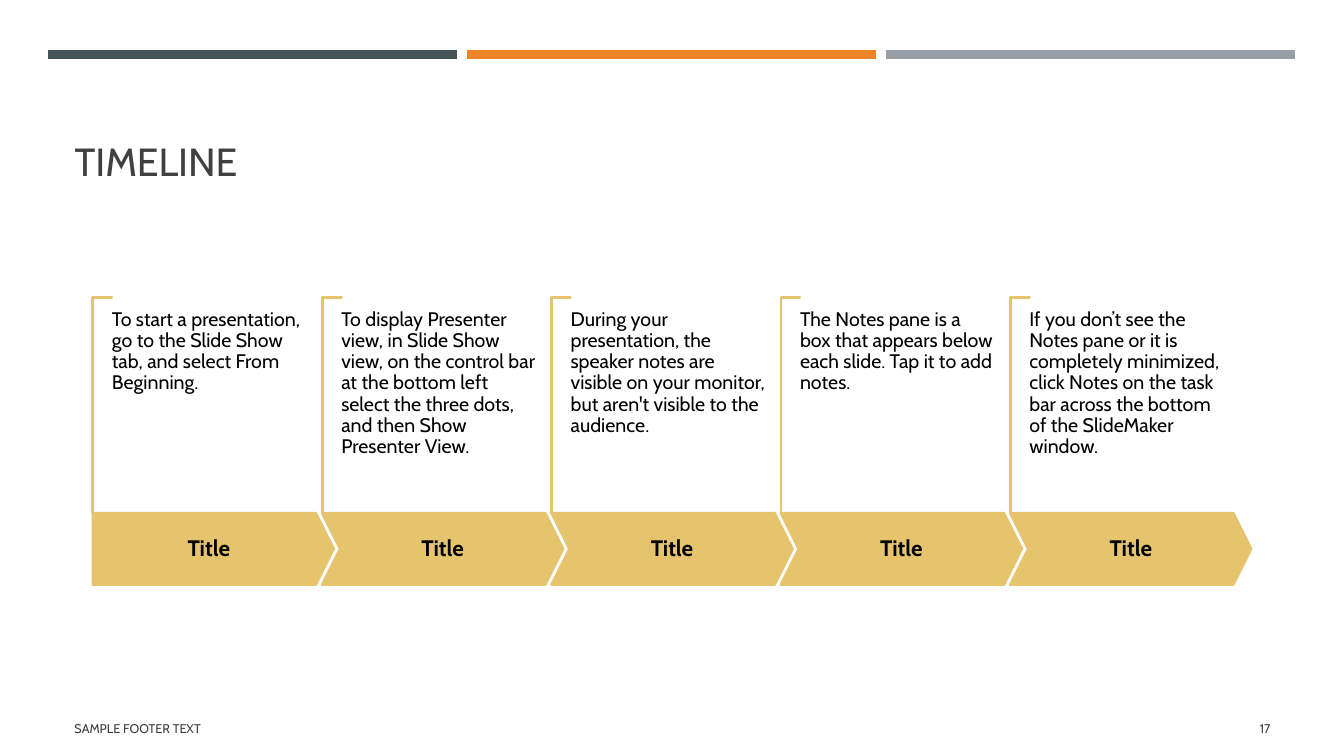
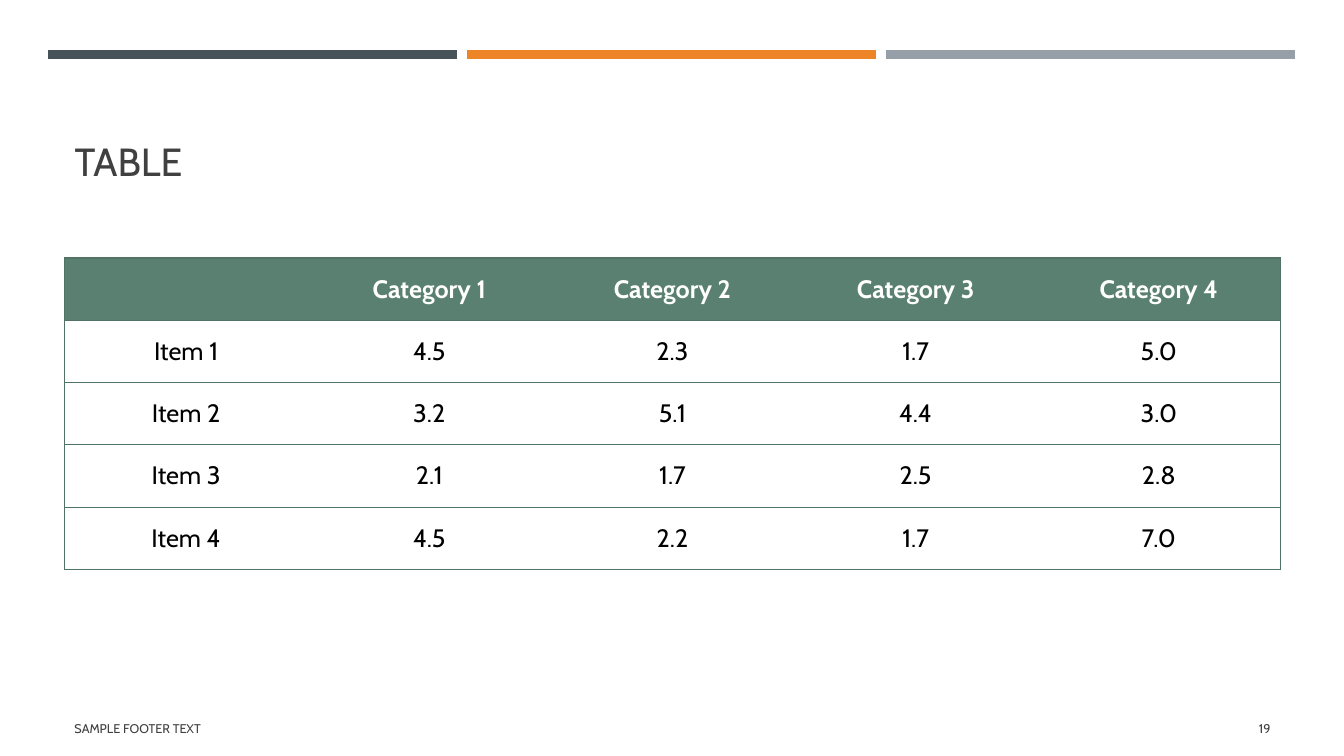
from lxml import etree
from pptx import Presentation
from pptx.dml.color import RGBColor
from pptx.enum.shapes import MSO_CONNECTOR, MSO_SHAPE
from pptx.enum.text import MSO_ANCHOR, MSO_AUTO_SIZE, PP_ALIGN
from pptx.oxml.ns import qn
from pptx.util import Inches, Pt

STRAIGHT = MSO_CONNECTOR.STRAIGHT
BRACKET, PENTAGON, CHEVRON = MSO_SHAPE.CORNER, MSO_SHAPE.PENTAGON, MSO_SHAPE.CHEVRON
TOP, MIDDLE, BOTTOM = MSO_ANCHOR.TOP, MSO_ANCHOR.MIDDLE, MSO_ANCHOR.BOTTOM
LEFT, CENTER, RIGHT = PP_ALIGN.LEFT, PP_ALIGN.CENTER, PP_ALIGN.RIGHT

FONT = "Cabin"
BLACK, WHITE, GRAY = "000000", "FFFFFF", "404040"
GOLD, GREEN, DARK_GREEN = "E6C46D", "5A8071", "517366"
BAND_COLORS = ["465359", "ED8428", "969FA7"]
MARGIN, CONTENT_WIDTH = 0.64, 12.06
FOOTER = "SAMPLE FOOTER TEXT"

STEPS = [
    ("Title", "To start a presentation, go to the Slide Show tab, and select From Beginning."),
    ("Title", "To display Presenter view, in Slide Show view, on the control bar at the bottom left "
              "select the three dots, and then Show Presenter View."),
    ("Title", "During your presentation, the speaker notes are visible on your monitor, "
              "but aren't visible to the audience."),
    ("Title", "The Notes pane is a box that appears below each slide. Tap it to add notes."),
    ("Title", "If you don’t see the Notes pane or it is completely minimized, click Notes "
              "on the task bar across the bottom of the SlideMaker window."),
]
SCORES = [
    ["", "Category 1", "Category 2", "Category 3", "Category 4"],
    ["Item 1", "4.5", "2.3", "1.7", "5.0"],
    ["Item 2", "3.2", "5.1", "4.4", "3.0"],
    ["Item 3", "2.1", "1.7", "2.5", "2.8"],
    ["Item 4", "4.5", "2.2", "1.7", "7.0"],
]


def rgb(color):
    return RGBColor.from_string(color)


def write(frame, text, size, color=BLACK, bold=False, align=LEFT, spacing=None):
    paragraph = frame.paragraphs[0]
    paragraph.alignment = align
    paragraph.line_spacing = spacing
    run = paragraph.add_run()
    run.text = text
    run.font.name = FONT
    run.font.size = Pt(size)
    run.font.bold = bold
    run.font.color.rgb = rgb(color)


def set_up_frame(frame, anchor, inset_x=0.1, inset_y=0.05):
    frame.word_wrap = True
    frame.auto_size = MSO_AUTO_SIZE.NONE
    frame.vertical_anchor = anchor
    frame.margin_left = frame.margin_right = Inches(inset_x)
    frame.margin_top = frame.margin_bottom = Inches(inset_y)


def add_label(slide, box, text, size, color, align=LEFT, anchor=MIDDLE, inset=0.1, spacing=None):
    label = slide.shapes.add_textbox(*map(Inches, box))
    set_up_frame(label.text_frame, anchor, inset, inset / 2)
    write(label.text_frame, text, size, color, align=align, spacing=spacing)


def add_gold_shape(slide, kind, box, fill, adjustments):
    shape = slide.shapes.add_shape(kind, *map(Inches, box))
    shape.shadow.inherit = False
    shape.fill.solid()
    shape.fill.fore_color.rgb = rgb(fill)
    shape.line.color.rgb = rgb(GOLD)
    shape.line.width = Pt(1.75)
    for index, value in enumerate(adjustments):
        shape.adjustments[index] = value
    return shape


def add_bands(slide, left, y, width, gap=0.1):
    band_width = (width - gap * (len(BAND_COLORS) - 1)) / len(BAND_COLORS)
    for index, color in enumerate(BAND_COLORS):
        start = left + index * (band_width + gap)
        band = slide.shapes.add_connector(
            STRAIGHT, Inches(start), Inches(y), Inches(start + band_width), Inches(y))
        band.line.color.rgb = rgb(color)
        band.line.width = Pt(6.5)
        etree.SubElement(band._element.spPr, qn("a:effectLst"))


def add_base_slide(prs, title_text, number):
    """Add a slide with the shared bands, title, footer and slide number."""
    slide = prs.slides.add_slide(prs.slide_layouts[5])
    add_bands(slide, 0.48, 0.54, 12.36)
    title = slide.shapes.title
    title.left, title.top = Inches(MARGIN), Inches(0.8)
    title.width, title.height = Inches(CONTENT_WIDTH), Inches(1.08)
    set_up_frame(title.text_frame, BOTTOM)
    write(title.text_frame, title_text, 28, GRAY)
    add_label(slide, (MARGIN, 7.03, 7.56, 0.4), FOOTER, 9, GRAY)
    add_label(slide, (11.55, 7.03, 1.15, 0.4), str(number), 9, GRAY, RIGHT)
    return slide


def add_step(slide, left, top, arrow_width, kind, heading, description):
    bracket_length, bracket_depth, arrow_height = 2.14, 0.19, 0.71
    # Rotation keeps the centre, so the unrotated box is shifted by half the difference.
    shift = (bracket_length - bracket_depth) / 2
    bracket = add_gold_shape(
        slide, BRACKET,
        (left - shift, top + shift, bracket_length, bracket_depth), WHITE, (0.01, 0.01))
    bracket.rotation = 90
    arrow = add_gold_shape(
        slide, kind, (left, top + bracket_length, arrow_width, arrow_height), GOLD, (0.25,))
    set_up_frame(arrow.text_frame, MIDDLE, 0.11, 0.22)
    write(arrow.text_frame, heading, 16, bold=True, align=CENTER, spacing=0.9)
    add_label(slide, (left + bracket_depth, top + 0.12, 1.94, 1.91), description, 14, BLACK,
              anchor=TOP, inset=0, spacing=0.9)


def add_timeline(slide, left, top, width):
    arrow_width = 2.39
    pitch = (width - arrow_width) / (len(STEPS) - 1)
    for index, (heading, description) in enumerate(STEPS):
        kind = CHEVRON if index else PENTAGON
        add_step(slide, left + index * pitch, top, arrow_width, kind, heading, description)


def set_borders(cell, is_first, is_last):
    """Rule a cell above and below, and at the outer sides of the table."""
    properties = cell._tc.get_or_add_tcPr()
    for side, ruled in (("L", is_first), ("R", is_last), ("T", True), ("B", True)):
        border = etree.SubElement(properties, qn(f"a:ln{side}"), w=str(Pt(1)))
        if ruled:
            fill = etree.SubElement(border, qn("a:solidFill"))
            etree.SubElement(fill, qn("a:srgbClr"), val=DARK_GREEN)
        else:
            etree.SubElement(border, qn("a:noFill"))


def add_score_table(slide, left, top, width, height):
    row_count, column_count = len(SCORES), len(SCORES[0])
    table = slide.shapes.add_table(
        row_count, column_count, *map(Inches, (left, top, width, height))).table
    table.horz_banding = False
    for column in table.columns:
        column.width = Inches(width / column_count)
    for row_index, values in enumerate(SCORES):
        table.rows[row_index].height = Inches(height / row_count)
        is_header = row_index == 0
        for column_index, value in enumerate(values):
            cell = table.cell(row_index, column_index)
            set_borders(cell, column_index == 0, column_index == column_count - 1)
            cell.fill.solid()
            cell.fill.fore_color.rgb = rgb(GREEN if is_header else WHITE)
            cell.vertical_anchor = MIDDLE
            if value:
                write(cell.text_frame, value, 18, WHITE if is_header else BLACK,
                      is_header, CENTER)


def main():
    prs = Presentation()
    prs.slide_width, prs.slide_height = Inches(13.33), Inches(7.5)
    add_timeline(add_base_slide(prs, "TIMELINE", 17), 0.92, 2.95, 11.49)
    add_score_table(add_base_slide(prs, "TABLE", 19), MARGIN, 2.56, CONTENT_WIDTH, 3.09)
    prs.save("out.pptx")


if __name__ == "__main__":
    main()
